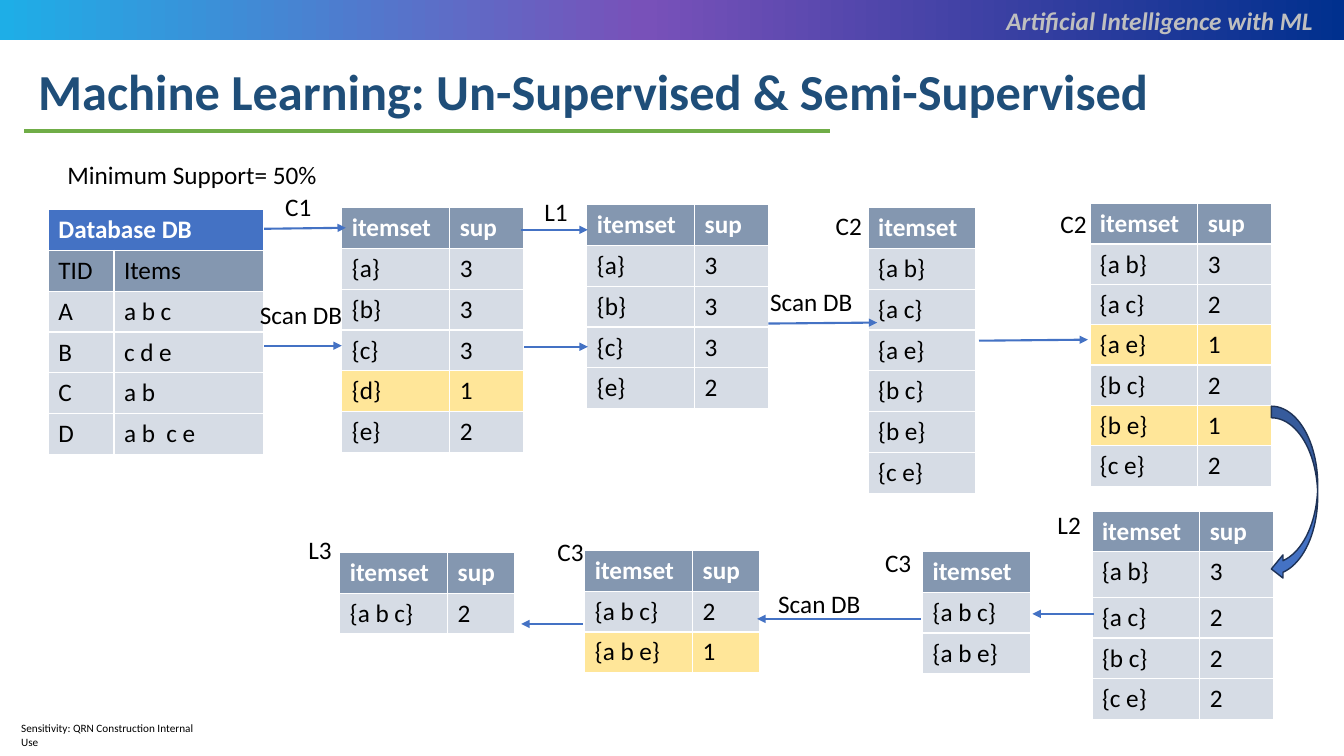
"""Build the slide that traces frequent itemsets through database scans."""
from copy import deepcopy
from lxml.etree import SubElement
from pptx import Presentation
from pptx.dml.color import RGBColor
from pptx.enum.shapes import MSO_CONNECTOR, MSO_SHAPE
from pptx.enum.text import MSO_AUTO_SIZE, PP_ALIGN
from pptx.oxml.ns import qn
from pptx.util import Inches, Pt

WHITE = RGBColor(0xFF, 0xFF, 0xFF)
BLACK = RGBColor(0x00, 0x00, 0x00)
NAVY = RGBColor(0x00, 0x30, 0x8E)
PURPLE = RGBColor(0x78, 0x51, 0xB9)
CYAN = RGBColor(0x1E, 0xAE, 0xE7)
TITLE = RGBColor(0x1F, 0x4E, 0x79)
SILVER = RGBColor(0xBF, 0xBF, 0xBF)
GREEN = RGBColor(0x70, 0xAD, 0x47)
BLUE = RGBColor(0x44, 0x72, 0xC4)
EDGE = RGBColor(0x1E, 0x32, 0x56)
SLATE = RGBColor(0x84, 0x97, 0xB0)
PALE = RGBColor(0xD6, 0xDC, 0xE5)
YELLOW = RGBColor(0xFF, 0xE6, 0x99)

deck = Presentation()
deck.slide_width, deck.slide_height = Inches(13.33), Inches(7.5)
slide = deck.slides.add_slide(deck.slide_layouts[6])
shapes = slide.shapes


def add_text(words, left, top, width, height=0.4, size=18, color=BLACK, bold=False):
    box = shapes.add_textbox(Inches(left), Inches(top), Inches(width), Inches(height))
    frame = box.text_frame
    frame.word_wrap = True
    frame.auto_size = MSO_AUTO_SIZE.SHAPE_TO_FIT_TEXT
    frame.text = words
    font = frame.paragraphs[0].runs[0].font
    font.name, font.size, font.bold = "Calibri", Pt(size), bold
    font.color.rgb = color
    return frame


def add_line(x1, y1, x2, y2, width, color=BLUE, arrow=True):
    line = shapes.add_connector(
        MSO_CONNECTOR.STRAIGHT, Inches(x1), Inches(y1), Inches(x2), Inches(y2))
    line.line.color.rgb = color
    line.line.width = Pt(width)
    if arrow:
        SubElement(line.line._get_or_add_ln(), qn("a:tailEnd"), type="triangle")
    SubElement(line._element.spPr, qn("a:effectLst"))


band = shapes.add_shape(MSO_SHAPE.RECTANGLE, 0, 0, deck.slide_width, Inches(0.4))
band.shadow.inherit = False
band.line.fill.background()
band.fill.gradient()
band.fill.gradient_angle = 0
first = band.fill.gradient_stops[0]._gs
first.addnext(deepcopy(first))
for stop, (place, color) in zip(
        band.fill.gradient_stops, [(0, CYAN), (0.48, PURPLE), (1, NAVY)]):
    stop.position = place
    stop.color.rgb = color

footer = add_text("Sensitivity: QRN Construction Internal Use", 0.21, 7.16, 1.89, 0.13, 8)
footer.word_wrap = False
footer.margin_left = footer.margin_right = footer.margin_top = footer.margin_bottom = 0
add_text("Machine Learning: Un-Supervised & Semi-Supervised",
         0.28, 0.55, 11.62, 0.71, 36, TITLE, True)
add_line(0.24, 1.3, 8.23, 1.3, 2.25, GREEN, False)
course = add_text("Artificial Intelligence with ML", 6.39, 0, 6.73, color=SILVER, bold=True)
course.paragraphs[0].alignment = PP_ALIGN.RIGHT
course.paragraphs[0].runs[0].font.italic = True

HEAD = ("itemset", "sup")
WIDE, SLIM, ONE = (1.07, 0.73), (1.07, 0.66), (1.07,)
tables = [
    (10.81, 2.02, WIDE, 0.4, [HEAD, ("{a b}", "3"), ("{a c}", "2"), ("{a e}", "1"),
                              ("{b c}", "2"), ("{b e}", "1"), ("{c e}", "2")]),
    (0.48, 2.08, (0.65, 1.48), 0.405, [
        ("Database DB", ""), ("TID", "Items"), ("A", "a b c"),
        ("B", "c d e"), ("C", "a b"), ("D", "a b  c e")]),
    (3.39, 2.06, WIDE, 0.405, [HEAD, ("{a}", "3"), ("{b}", "3"), ("{c}", "3"),
                               ("{d}", "1"), ("{e}", "2")]),
    (5.82, 2.03, WIDE, 0.405, [HEAD, ("{a}", "3"), ("{b}", "3"), ("{c}", "3"), ("{e}", "2")]),
    (8.61, 2.06, ONE, 0.405, [HEAD[:1], ("{a b}",), ("{a c}",), ("{a e}",),
                              ("{b c}",), ("{b e}",), ("{c e}",)]),
    (10.83, 5.07, WIDE, 0.405, [HEAD, ("{a b}", "3"), ("{a c}", "2"),
                                ("{b c}", "2"), ("{c e}", "2")]),
    (5.8, 5.46, SLIM, 0.405, [HEAD, ("{a b c}", "2"), ("{a b e}", "1")]),
    (9.15, 5.47, ONE, 0.405, [HEAD[:1], ("{a b c}",), ("{a b e}",)]),
    (3.37, 5.48, SLIM, 0.405, [HEAD, ("{a b c}", "2")]),
]
for left, top, widths, step, rows in tables:
    grid = shapes.add_table(
        len(rows), len(widths), Inches(left), Inches(top),
        Inches(sum(widths)), Inches(step * len(rows))).table
    grid.horz_banding = False
    for col, width in zip(grid.columns, widths):
        col.width = Inches(width)
    for r, row in enumerate(rows):
        grid.rows[r].height = Inches(step)
        if row[0] == "Database DB":
            shade = BLUE
        elif r == 0 or row[0] == "TID":
            shade = SLATE
        else:
            shade = YELLOW if row[-1] == "1" else PALE
        for c, words in enumerate(row):
            cell = grid.cell(r, c)
            cell.fill.solid()
            cell.fill.fore_color.rgb = shade
            cell.text_frame.text = words
            for run in cell.text_frame.paragraphs[0].runs:
                run.font.name, run.font.size = "Calibri", Pt(18)
                run.font.bold = r == 0
                run.font.color.rgb = WHITE if r == 0 else BLACK
    if rows[0][0] == "Database DB":
        grid.cell(0, 0).merge(grid.cell(0, 1))
    if top == 5.07:
        grid.rows[1].height = Inches(0.45)

bend = shapes.add_shape(
    MSO_SHAPE.CURVED_LEFT_ARROW, Inches(12.61), Inches(4.03), Inches(0.46), Inches(1.73))
bend.shadow.inherit = False
bend.fill.solid()
bend.fill.fore_color.rgb = BLUE
bend.line.color.rgb = EDGE
bend.line.width = Pt(1)

for words, left, top, width in [
        ("Minimum Support= 50%", 0.57, 1.53, 2.86),
        ("Scan DB", 2.48, 2.92, 1.36), ("Scan DB", 7.54, 2.79, 1.13),
        ("Scan DB", 7.62, 5.79, 1.13),
        ("C1", 2.73, 1.85, 0.56), ("L1", 5.3, 1.9, 0.56),
        ("C2", 10.42, 2.02, 0.56), ("C2", 8.19, 2.04, 0.56),
        ("C3", 8.68, 5.38, 0.56), ("C3", 5.43, 5.27, 0.56),
        ("L2", 10.39, 5, 0.56), ("L3", 2.96, 5.25, 0.56)]:
    add_text(words, left, top, width)

for x1, y1, x2, y2 in [
        (2.62, 3.43, 3.39, 3.43), (2.62, 2.27, 3.43, 2.26), (5.2, 3.44, 5.83, 3.44),
        (5.17, 2.28, 5.83, 2.28), (7.62, 3.21, 8.7, 3.2), (9.71, 3.38, 10.79, 3.37)]:
    add_line(x1, y1, x2, y2, 1.5)
for start, end, y in [(9.13, 7.51, 6.14), (10.85, 10.24, 6.09), (5.78, 5.17, 6.19)]:
    add_line(start, y, end, y, 1)

deck.save("out.pptx")
